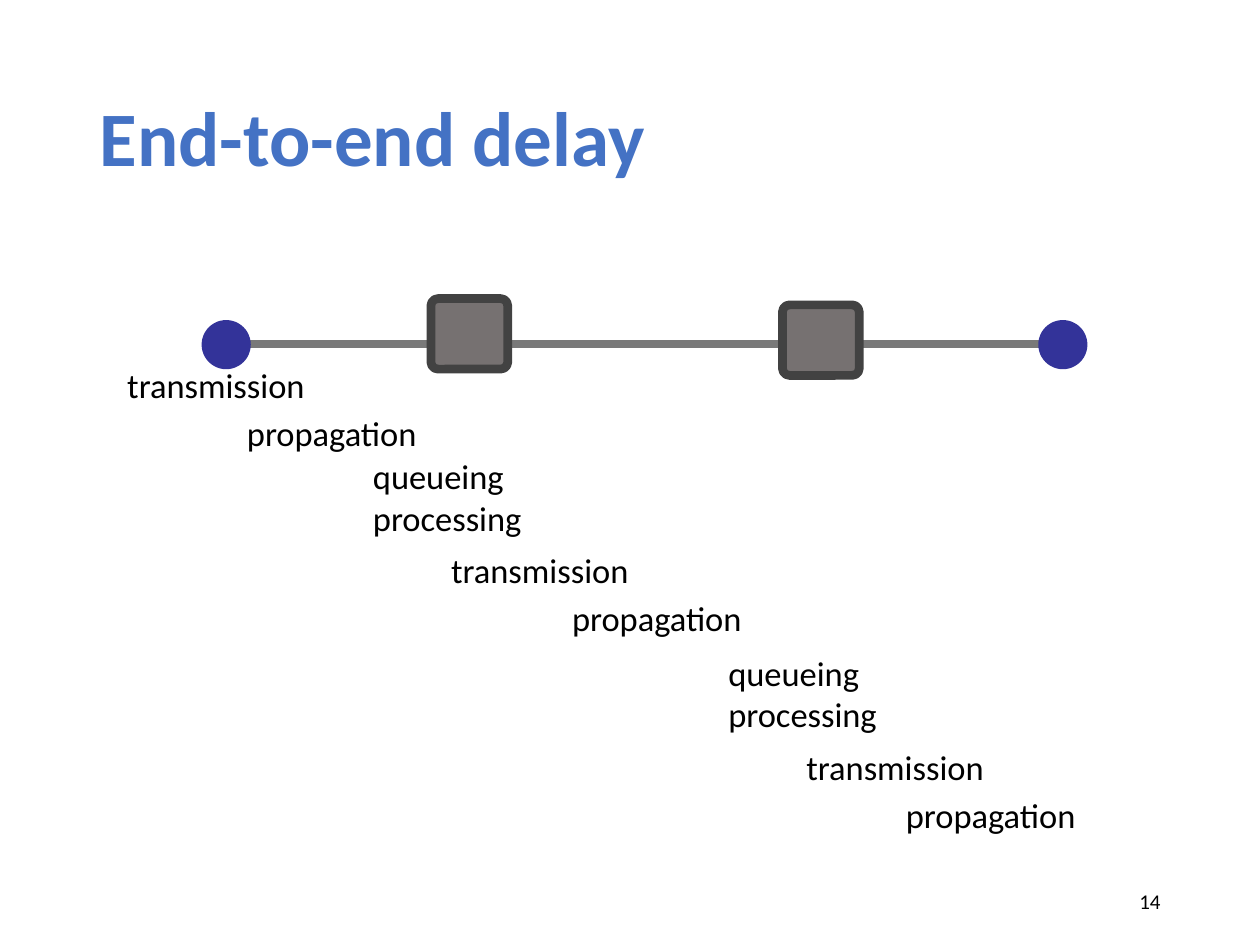
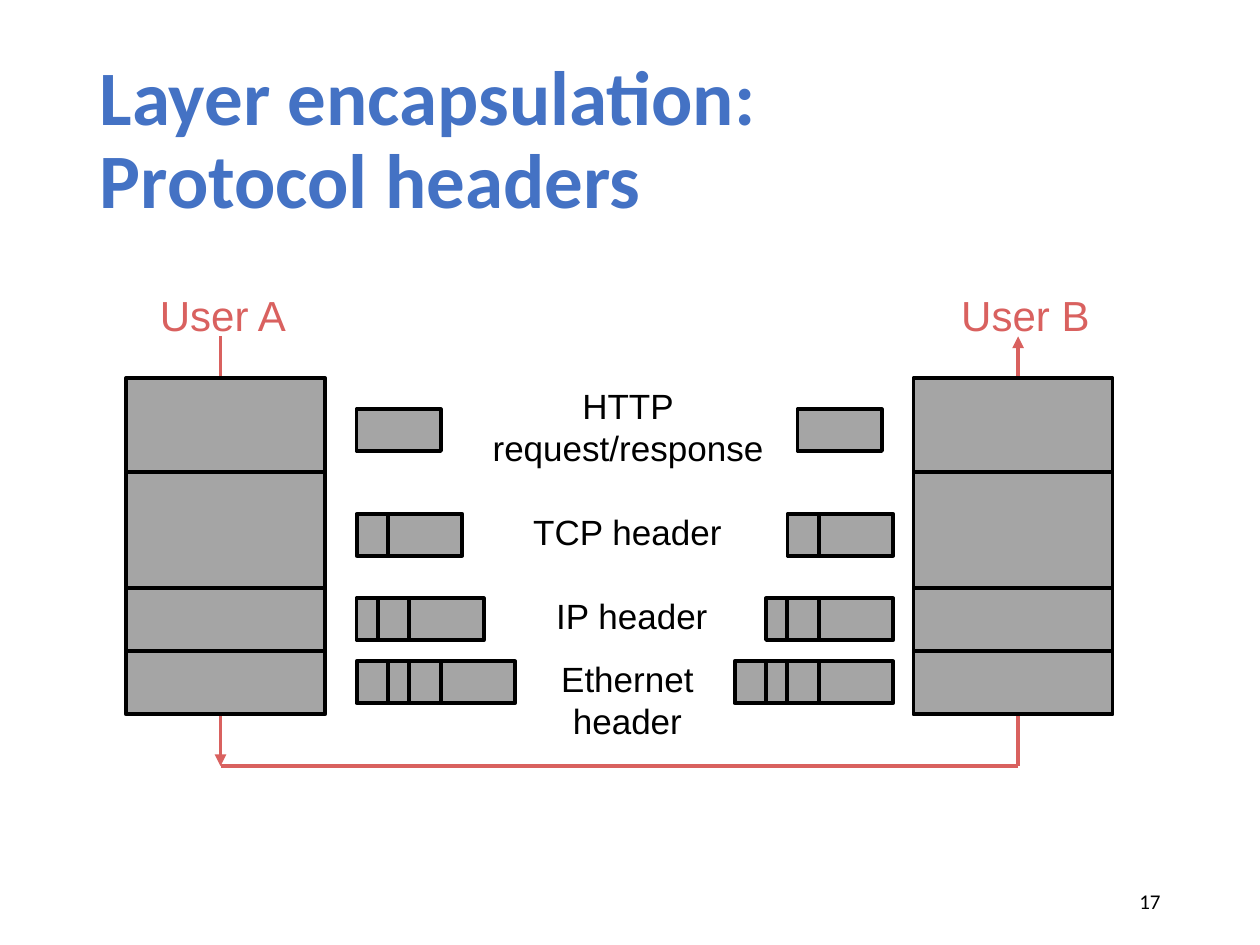
from pptx import Presentation
from pptx.dml.color import RGBColor
from pptx.enum.shapes import MSO_CONNECTOR, MSO_SHAPE
from pptx.enum.text import MSO_ANCHOR, MSO_AUTO_SIZE, PP_ALIGN
from pptx.oxml.ns import qn
from pptx.util import Pt
from lxml import etree

PX = 9144  # EMU per px, 100 px to the inch
LEFT, CENTER, RIGHT = PP_ALIGN.LEFT, PP_ALIGN.CENTER, PP_ALIGN.RIGHT
TOP, MIDDLE = MSO_ANCHOR.TOP, MSO_ANCHOR.MIDDLE
RECT, ROUNDED, OVAL = MSO_SHAPE.RECTANGLE, MSO_SHAPE.ROUNDED_RECTANGLE, MSO_SHAPE.OVAL
STRAIGHT = MSO_CONNECTOR.STRAIGHT
TITLE_ONLY = 5

COLORS = {
    "title": "4472C4", "text": "000000", "link": "797979", "host": "333399",
    "router": "767171", "router_edge": "424242", "layer": "A5A5A5",
    "edge": "000000", "flow": "D9615F",
}

DELAYS = [
    ("transmission", 97, 285), ("propagation", 192, 323),
    ("queueing", 292, 357), ("processing", 292, 390),
    ("transmission", 354, 432), ("propagation", 450, 470),
    ("queueing", 574, 513), ("processing", 574, 546),
    ("transmission", 636, 588), ("propagation", 715, 626),
]

# top and height of each layer in a stack
LAYERS = [(300, 75), (375, 92), (467, 50), (517, 50)]

# top, left on user B's side, cells as (offset, width) from the outer header in
PACKETS = [
    (325, 633, [(0, 67)]),
    (408, 625, [(0, 25), (17, 67)]),
    (475, 608, [(0, 17), (9, 33), (34, 67)]),
    (525, 583, [(0, 25), (9, 33), (34, 33), (59, 67)]),
]
PACKET_LEFT_A = 283

HEADER_LABELS = [
    ("HTTP\nrequest/response", 380, 300, 237, 77),
    ("TCP header", 410, 400, 176, 44),
    ("IP header", 413, 467, 177, 44),
    ("Ethernet\nheader", 435, 517, 126, 77),
]


def px(*lengths):
    return [length * PX for length in lengths]


def rgb(name):
    return RGBColor.from_string(COLORS[name])


def style_text(tf, size, color, font="Calibri", align=LEFT, bold=False):
    for p in tf.paragraphs:
        p.alignment = align
        for r in p.runs:
            r.font.name = font
            r.font.size = Pt(size)
            r.font.bold = bold
            r.font.color.rgb = rgb(color)


def add_text(s, text, box, size, color="text", font="Calibri", align=LEFT,
             anchor=MIDDLE, wrap=True, inset=(10, 5)):
    tf = s.shapes.add_textbox(*px(*box)).text_frame
    tf.text = text
    tf.word_wrap = wrap
    tf.auto_size = MSO_AUTO_SIZE.NONE
    tf.vertical_anchor = anchor
    tf.margin_left = tf.margin_right = inset[0] * PX
    tf.margin_top = tf.margin_bottom = inset[1] * PX
    style_text(tf, size, color, font, align)


def add_slide(prs, title, number):
    s = prs.slides.add_slide(prs.slide_layouts[TITLE_ONLY])
    sp = s.shapes.title
    sp.left, sp.top, sp.width, sp.height = px(69, 40, 862, 145)
    tf = sp.text_frame
    tf.text = title
    tf.auto_size = MSO_AUTO_SIZE.NONE
    tf.vertical_anchor = MIDDLE
    tf.paragraphs[0].line_spacing = 0.9
    style_text(tf, 44, "title", bold=True)
    add_text(s, str(number), (706, 695, 225, 40), 12, align=RIGHT)
    return s


def add_box(s, kind, box, fill, edge=None, weight=2.25):
    sp = s.shapes.add_shape(kind, *px(*box))
    sp.shadow.inherit = False
    sp.fill.solid()
    sp.fill.fore_color.rgb = rgb(fill)
    if edge:
        sp.line.color.rgb = rgb(edge)
        sp.line.width = Pt(weight)
    else:
        sp.line.fill.background()
    return sp


def add_line(s, start, end, color, weight, arrow=False):
    line = s.shapes.add_connector(STRAIGHT, *px(*start, *end))
    line.line.color.rgb = rgb(color)
    line.line.width = Pt(weight)
    if arrow:
        etree.SubElement(line.line._get_or_add_ln(), qn("a:tailEnd"), type="triangle")
    etree.SubElement(line._element.spPr, qn("a:effectLst"))


def add_layer_stack(s, left):
    for top, height in LAYERS:
        add_box(s, RECT, (left, top, 158, height), "layer", "edge")


def add_packet(s, left, top, cells):
    """Draw the payload first, so that each header overlaps what it wraps."""
    for offset, width in reversed(cells):
        add_box(s, RECT, (left + offset, top, width, 33), "layer", "edge")


def build_delay_slide(prs):
    s = add_slide(prs, "End-to-end delay", 14)
    add_line(s, (185, 273), (835, 273), "link", 5)
    for left in (160, 824):
        add_box(s, OVAL, (left, 254, 39, 39), "host")
    for left, top in ((342, 237), (621, 242)):
        router = add_box(s, ROUNDED, (left, top, 61, 56), "router", "router_edge", 5)
        router.adjustments[0] = 0.1
    for text, left, top in DELAYS:
        add_text(s, text, (left, top, 167, 41), 19.7, inset=(4, 4))


def build_encapsulation_slide(prs):
    s = add_slide(prs, "Layer encapsulation:\vProtocol headers", 17)
    a_top, a_bottom, b_top, b_bottom = (175, 267), (175, 608), (808, 267), (808, 608)
    add_line(s, a_top, a_bottom, "flow", 2.25, arrow=True)
    add_line(s, b_bottom, b_top, "flow", 2.25, arrow=True)
    add_line(s, a_bottom, b_bottom, "flow", 2.25)
    for left in (100, 725):
        add_layer_stack(s, left)
    for top, left_b, cells in PACKETS:
        for left in (PACKET_LEFT_A, left_b):
            add_packet(s, left, top, cells)
    for text, *box in HEADER_LABELS:
        add_text(s, text, box, 20, font="Arial", align=CENTER, anchor=TOP, wrap=False)
    for user, left in (("User A", 117), ("User B", 753)):
        add_text(s, user, (left, 225, 122, 51), 24, "flow", "Arial",
                 anchor=TOP, wrap=False)


def main():
    prs = Presentation()
    prs.slide_width, prs.slide_height = px(1000, 750)
    build_delay_slide(prs)
    build_encapsulation_slide(prs)
    prs.save("out.pptx")


if __name__ == "__main__":
    main()
